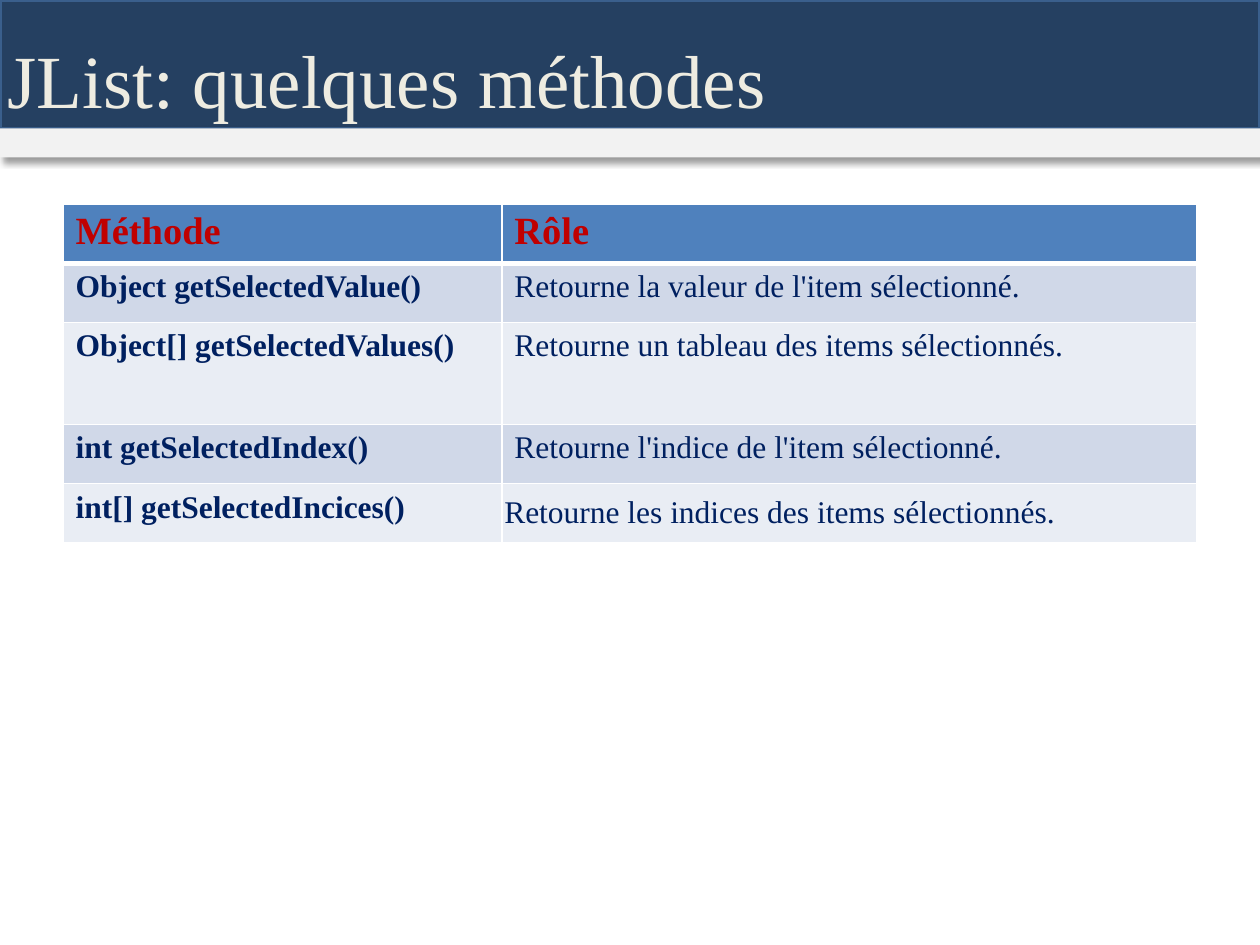
from lxml.etree import SubElement
from pptx import Presentation
from pptx.dml.color import RGBColor
from pptx.enum.shapes import MSO_SHAPE
from pptx.enum.text import MSO_ANCHOR, PP_ALIGN
from pptx.oxml.ns import qn
from pptx.util import Inches, Pt

FONT = "Times New Roman"
HEADER = ("Méthode", "Rôle")
METHODS = [
    ("Object getSelectedValue()", "Retourne la valeur de l'item sélectionné."),
    ("Object[] getSelectedValues()", "Retourne un tableau des items sélectionnés."),
    ("int getSelectedIndex()", "Retourne l'indice de l'item sélectionné."),
    ("int[] getSelectedIncices()", "Retourne les indices des\u00a0items sélectionnés."),
]
COLUMN_SHARES = (0.387, 0.613)
ROW_HEIGHTS = (0.47, 0.47, 0.81, 0.47, 0.47)


def color(hex_string):
    """Turn a hex string into a colour."""
    return RGBColor.from_string(hex_string)


def format_text(paragraph, size, hex_string, bold=False):
    """Format every run of a paragraph."""
    for run in paragraph.runs:
        run.font.name = FONT
        run.font.size = Pt(size)
        run.font.bold = bold
        run.font.color.rgb = color(hex_string)


def add_shadow(shape):
    """Give a shape a soft shadow towards the lower right."""
    shape.shadow.inherit = False
    effects = shape._element.spPr.find(qn("a:effectLst"))
    shadow = SubElement(effects, qn("a:outerShdw"), blurRad=str(Pt(4)),
                        dist=str(Pt(3)), dir="2700000", algn="tl", rotWithShape="0")
    black = SubElement(shadow, qn("a:srgbClr"), val="000000")
    SubElement(black, qn("a:alpha"), val="40000")


def add_band(slide, top, width, height, fill, line=None):
    """Add a shadowed band across the slide."""
    band = slide.shapes.add_shape(MSO_SHAPE.RECTANGLE, 0, Inches(top), width, Inches(height))
    band.fill.solid()
    band.fill.fore_color.rgb = color(fill)
    if line:
        band.line.color.rgb = color(line)
        band.line.width = Pt(2)
    else:
        band.line.fill.background()
    add_shadow(band)


def add_heading(slide, text, width):
    """Place the title between its dark band and the pale strip below."""
    add_band(slide, 0, width, 1.02, "254061", "3A5F8C")
    title = slide.shapes.title
    slide.shapes._spTree.append(title._element)
    title.left, title.top, title.width, title.height = map(Inches, (-0.04, 0.3, 7.29, 0.77))
    title.text_frame.text = text
    title.text_frame.vertical_anchor = MSO_ANCHOR.TOP
    paragraph = title.text_frame.paragraphs[0]
    paragraph.alignment = PP_ALIGN.LEFT
    paragraph.line_spacing = 0.9
    format_text(paragraph, 42.9, "EEECE1")
    add_band(slide, 1.02, width, 0.23, "F2F2F2")


def set_borders(cell, bottom):
    """Draw white borders, the lower one with its own width, before the fill."""
    properties = cell._tc.get_or_add_tcPr()
    for side, width in (("L", 1), ("R", 1), ("T", 1), ("B", bottom)):
        line = SubElement(properties, qn(f"a:ln{side}"), w=str(Pt(width)))
        fill = SubElement(line, qn("a:solidFill"))
        SubElement(fill, qn("a:srgbClr"), val="FFFFFF")


def fill_cell(cell, text, row, column):
    """Write and style one cell according to its row and column."""
    is_header = row == 0
    set_borders(cell, 3 if is_header else 1)
    cell.fill.solid()
    cell.fill.fore_color.rgb = color(
        "4F81BD" if is_header else ("E9EDF4", "D0D8E8")[row % 2])
    cell.text_frame.text = text
    format_text(cell.text_frame.paragraphs[0], 22 if is_header else 18,
                "C00000" if is_header else "002060", is_header or column == 0)


def add_method_table(slide, left, top, width):
    """Add the table of methods and their roles."""
    rows = [HEADER, *METHODS]
    frame = slide.shapes.add_table(len(rows), len(HEADER), Inches(left), Inches(top),
                                   Inches(width), Inches(sum(ROW_HEIGHTS)))
    table = frame.table
    for column, share in zip(table.columns, COLUMN_SHARES):
        column.width = Inches(width * share)
    for row_index, (texts, height) in enumerate(zip(rows, ROW_HEIGHTS)):
        table.rows[row_index].height = Inches(height)
        for column_index, text in enumerate(texts):
            fill_cell(table.cell(row_index, column_index), text, row_index, column_index)
    last = table.cell(len(rows) - 1, 1)
    last.vertical_anchor = MSO_ANCHOR.MIDDLE
    last.margin_left = last.margin_right = last.margin_top = last.margin_bottom = Inches(0.02)
    last.text_frame.paragraphs[0].alignment = PP_ALIGN.JUSTIFY


def main():
    """Build and save the slide."""
    presentation = Presentation()
    presentation.slide_width, presentation.slide_height = Inches(10), Inches(7.5)
    slide = presentation.slides.add_slide(presentation.slide_layouts[5])
    add_method_table(slide, 0.5, 1.62, 9)
    add_heading(slide, "JList: quelques méthodes", presentation.slide_width)
    presentation.save("out.pptx")


main()
